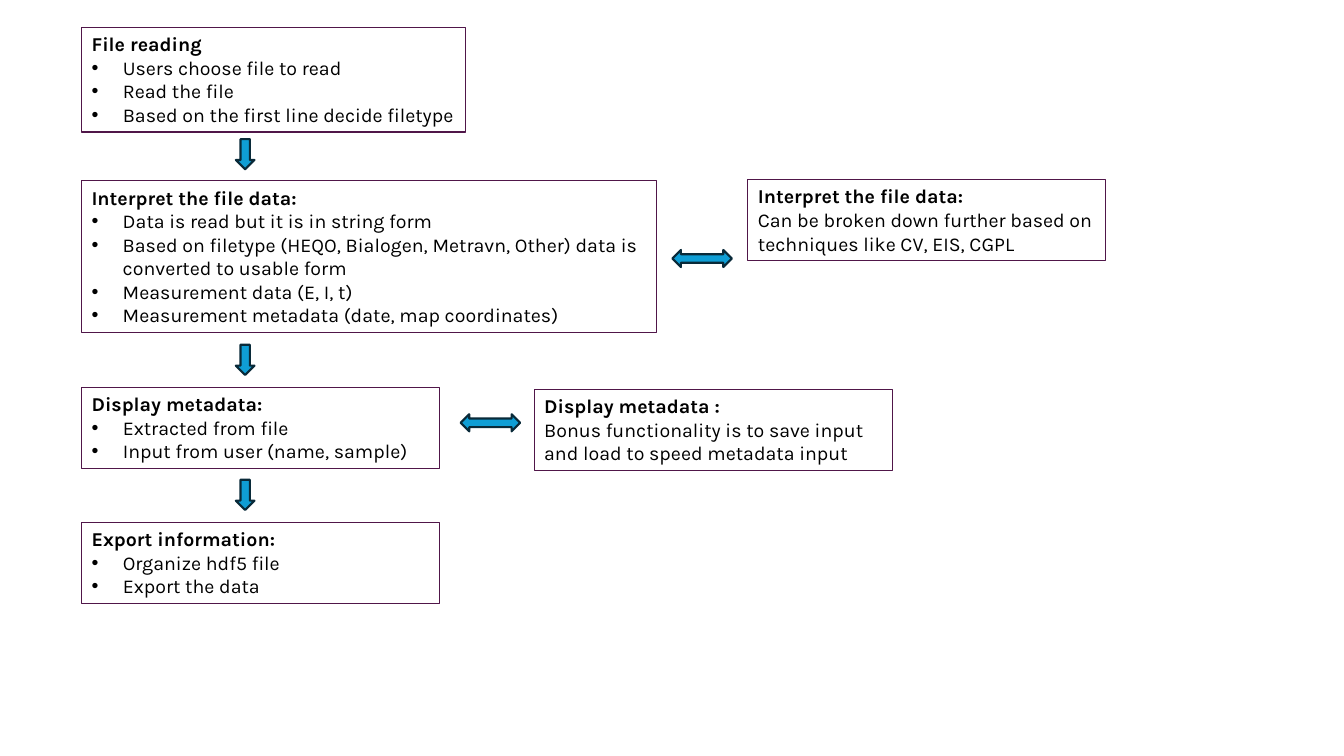
from dataclasses import dataclass

from lxml.etree import SubElement
from pptx import Presentation
from pptx.dml.color import RGBColor
from pptx.enum.shapes import MSO_SHAPE
from pptx.enum.text import MSO_AUTO_SIZE
from pptx.oxml.ns import qn
from pptx.slide import Slide
from pptx.util import Inches, Length, Pt


@dataclass(frozen=True)
class Theme:
    font: str = "Karla"
    text_size: float = 14
    text: str = "000000"
    box_line: str = "501649"
    box_line_width: float = 0.75
    arrow_fill: str = "0F9ED5"
    arrow_line: str = "092A39"
    arrow_line_width: float = 1.5


@dataclass(frozen=True)
class Step:
    column: float
    row: float
    columns: float
    lines: int
    title: str
    body: tuple[str, ...]
    bulleted: bool = True


@dataclass(frozen=True)
class Arrow:
    column: float
    row: float
    vertical: bool = True


THEME = Theme()

# The grid has ten columns and ten rows to the inch.
PAGE_COLUMNS, PAGE_ROWS = 133.33, 75
MAIN_COLUMN = 8.1
NARROW = 35.5
LINE_ROWS = 2.35
PADDING_ROWS = 1
BULLET_INDENT = 3.1
DOWN_COLUMN = 23.4
DOWN_SIZE = (1.85, 3)
ACROSS_SIZE = (5.9, 1.7)

STEPS = (
    Step(MAIN_COLUMN, 2.7, 38.1, 4, "File reading", (
        "Users choose file to read",
        "Read the file",
        "Based on the first line decide filetype",
    )),
    Step(MAIN_COLUMN, 17.9, 57, 6, "Interpret the file data:", (
        "Data is read but it is in string form",
        "Based on filetype (HEQO, Bialogen, Metravn, Other) data is converted to usable form",
        "Measurement data (E, I, t)",
        "Measurement metadata (date, map coordinates)",
    )),
    Step(74.2, 17.8, NARROW, 3, "Interpret the file data:", (
        "Can be broken down further based on techniques like CV, EIS, CGPL",
    ), bulleted=False),
    Step(MAIN_COLUMN, 38.4, NARROW, 3, "Display metadata:", (
        "Extracted from file",
        "Input from user (name, sample)",
    )),
    Step(53, 38.6, NARROW, 3, "Display metadata :", (
        "Bonus functionality is to save input and load to speed metadata input",
    ), bulleted=False),
    Step(MAIN_COLUMN, 51.8, NARROW, 3, "Export information:", (
        "Organize hdf5 file",
        "Export the data",
    )),
)

ARROWS = (
    Arrow(DOWN_COLUMN, 13.8),
    Arrow(66.7, 24.8, vertical=False),
    Arrow(DOWN_COLUMN, 34.2),
    Arrow(45.7, 41.1, vertical=False),
    Arrow(DOWN_COLUMN, 47.6),
)


def grid(cells: float) -> Length:
    return Inches(cells / 10)


def set_line(shape, color: str, width: float) -> None:
    shape.line.color.rgb = RGBColor.from_string(color)
    shape.line.width = Pt(width)


def add_bullet(para) -> None:
    properties = para._p.get_or_add_pPr()
    indent = grid(BULLET_INDENT)
    for name, value in {"marL": indent, "indent": -indent}.items():
        properties.set(name, str(value))
    SubElement(properties, qn("a:buFont")).set("typeface", "Arial")
    SubElement(properties, qn("a:buChar")).set("char", "•")


def write(para, text: str, bold: bool) -> None:
    span = para.add_run()
    span.text = text
    formats = {"name": THEME.font, "size": Pt(THEME.text_size), "bold": bold}
    for name, value in formats.items():
        setattr(span.font, name, value)
    span.font.color.rgb = RGBColor.from_string(THEME.text)


def draw_step(page: Slide, step: Step) -> None:
    rows = PADDING_ROWS + step.lines * LINE_ROWS
    box = page.shapes.add_textbox(
        grid(step.column), grid(step.row), grid(step.columns), grid(rows))
    set_line(box, THEME.box_line, THEME.box_line_width)
    frame = box.text_frame
    formats = {"word_wrap": True, "auto_size": MSO_AUTO_SIZE.SHAPE_TO_FIT_TEXT}
    for name, value in formats.items():
        setattr(frame, name, value)
    write(frame.paragraphs[0], step.title, bold=True)
    for text in step.body:
        para = frame.add_paragraph()
        if step.bulleted:
            add_bullet(para)
        write(para, text, bold=False)


def draw_arrow(page: Slide, arrow: Arrow) -> None:
    if arrow.vertical:
        kind, size = MSO_SHAPE.DOWN_ARROW, DOWN_SIZE
    else:
        kind, size = MSO_SHAPE.LEFT_RIGHT_ARROW, ACROSS_SIZE
    columns, rows = size
    shape = page.shapes.add_shape(
        kind, grid(arrow.column), grid(arrow.row), grid(columns), grid(rows))
    shape.shadow.inherit = False
    shape.fill.solid()
    shape.fill.fore_color.rgb = RGBColor.from_string(THEME.arrow_fill)
    set_line(shape, THEME.arrow_line, THEME.arrow_line_width)


def main() -> None:
    deck = Presentation()
    deck.slide_width = grid(PAGE_COLUMNS)
    deck.slide_height = grid(PAGE_ROWS)
    page = deck.slides.add_slide(deck.slide_layouts[6])
    for step in STEPS:
        draw_step(page, step)
    for arrow in ARROWS:
        draw_arrow(page, arrow)
    deck.save("out.pptx")


if __name__ == "__main__":
    main()
